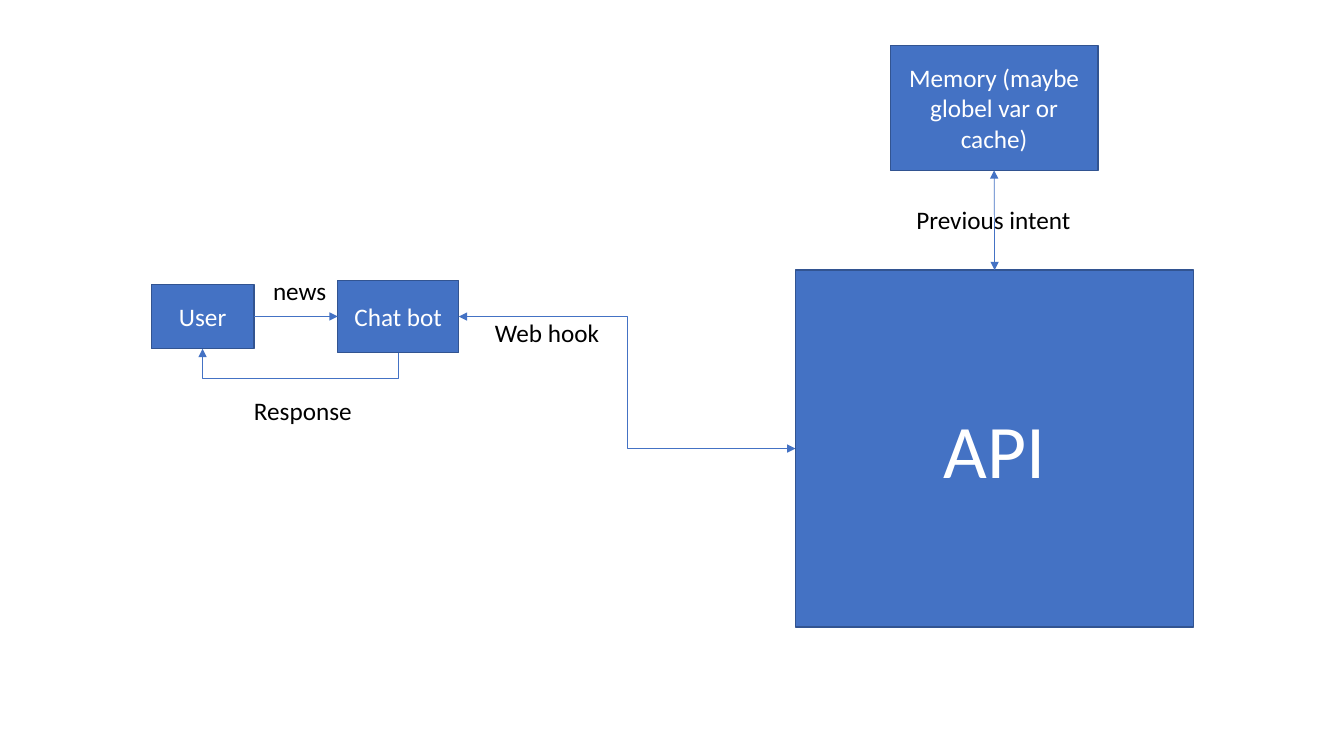
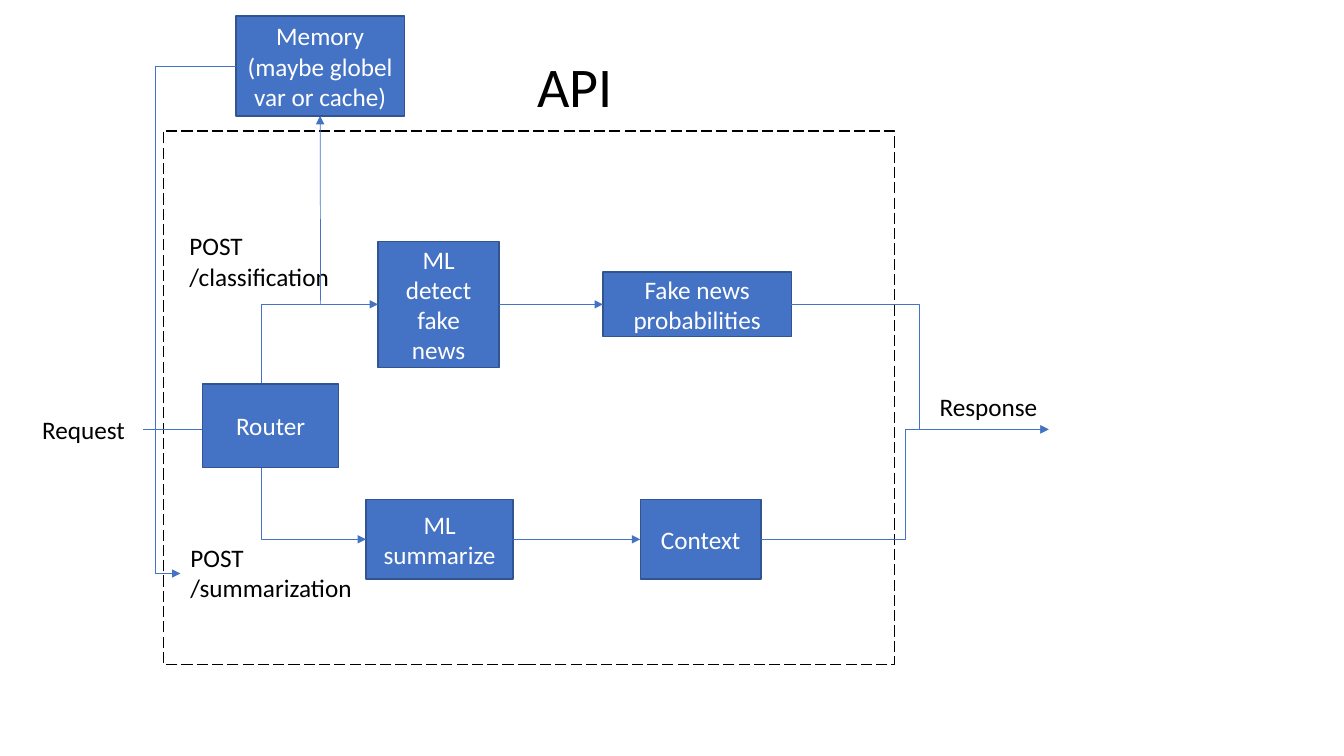
from dataclasses import dataclass

from lxml import etree
from pptx import Presentation
from pptx.dml.color import RGBColor
from pptx.enum.dml import MSO_LINE
from pptx.enum.shapes import MSO_CONNECTOR, MSO_SHAPE
from pptx.enum.text import MSO_ANCHOR, MSO_AUTO_SIZE, PP_ALIGN
from pptx.oxml.ns import qn
from pptx.util import Inches, Pt

RECTANGLE = MSO_SHAPE.RECTANGLE
STRAIGHT, ELBOW = MSO_CONNECTOR.STRAIGHT, MSO_CONNECTOR.ELBOW
LONG_DASH = MSO_LINE.LONG_DASH
CENTER, MIDDLE = PP_ALIGN.CENTER, MSO_ANCHOR.MIDDLE
GROW = MSO_AUTO_SIZE.SHAPE_TO_FIT_TEXT
TOP, LEFT, BOTTOM, RIGHT = range(4)


@dataclass(frozen=True)
class Theme:
    font: str = "Calibri"
    box: RGBColor = RGBColor(0x44, 0x72, 0xC4)
    border: RGBColor = RGBColor(0x32, 0x54, 0x91)
    light: RGBColor = RGBColor(0xFF, 0xFF, 0xFF)
    dark: RGBColor = RGBColor(0, 0, 0)
    body: int = 18
    title: int = 40
    hero: int = 54
    border_width: float = 1
    arrow_width: float = 0.5


THEME = Theme()
MEMORY_TEXT = "Memory (maybe globel var or cache)"


class Region:
    """Places diagram parts relative to its top left corner, in inches."""

    def __init__(self, slide, left, top):
        self.shapes = slide.shapes
        self.left, self.top = left, top

    def point(self, x, y):
        return Inches(self.left + x), Inches(self.top + y)

    def rectangle(self, x, y, width, height, fill, border):
        shape = self.shapes.add_shape(
            RECTANGLE, *self.point(x, y), Inches(width), Inches(height))
        shape.shadow.inherit = False
        shape.fill.solid()
        shape.fill.fore_color.rgb = fill
        shape.line.color.rgb = border
        shape.line.width = Pt(THEME.border_width)
        return shape

    def box(self, text, x, y, width, height, size=THEME.body):
        shape = self.rectangle(x, y, width, height, THEME.box, THEME.border)
        frame = shape.text_frame
        frame.word_wrap = True
        frame.vertical_anchor = MIDDLE
        write(frame.paragraphs[0], text, size, THEME.light)
        frame.paragraphs[0].alignment = CENTER
        return shape

    def label(self, lines, x, y, width, height=0.4, size=THEME.body, wrap=False):
        frame = self.shapes.add_textbox(
            *self.point(x, y), Inches(width), Inches(height)).text_frame
        frame.word_wrap = wrap
        frame.auto_size = GROW
        for index, line in enumerate(lines):
            paragraph = frame.add_paragraph() if index else frame.paragraphs[0]
            write(paragraph, line, size, THEME.dark)

    def link(self, source, source_side, target, target_side, both=False):
        """Straight arrow between the sides of two boxes."""
        arrow = self.shapes.add_connector(STRAIGHT, 0, 0, 0, 0)
        arrow.begin_connect(source, source_side)
        arrow.end_connect(target, target_side)
        style_arrow(arrow, both)

    def elbow(self, start, end, bend, vertical=False, both=False):
        """Three-part arrow; bend is the x (or y, if vertical) of its middle part."""
        axis = 1 if vertical else 0
        ratio = (bend - start[axis]) / (end[axis] - start[axis])
        if vertical:
            # A quarter turn about the centre makes the first part vertical
            center = [(a + b) / 2 for a, b in zip(start, end)]
            start, end = [(center[0] + y - center[1], center[1] - x + center[0])
                          for x, y in (start, end)]
        arrow = self.shapes.add_connector(
            ELBOW, *self.point(*start), *self.point(*end))
        properties = arrow._element.spPr
        if vertical:
            properties.find(qn("a:xfrm")).set("rot", str(90 * 60000))
        geometry = properties.find(qn("a:prstGeom"))
        adjustments = geometry.find(qn("a:avLst"))
        if adjustments is None:
            adjustments = etree.SubElement(geometry, qn("a:avLst"))
        etree.SubElement(adjustments, qn("a:gd"), name="adj1",
                         fmla=f"val {round(ratio * 100000)}")
        style_arrow(arrow, both)


def write(paragraph, text, size, color):
    run = paragraph.add_run()
    run.text = text
    run.font.name = THEME.font
    run.font.size = Pt(size)
    run.font.color.rgb = color


def style_arrow(arrow, both):
    arrow.line.color.rgb = THEME.box
    arrow.line.width = Pt(THEME.arrow_width)
    outline = arrow._element.spPr.find(qn("a:ln"))
    for tag in ("a:headEnd", "a:tailEnd") if both else ("a:tailEnd",):
        etree.SubElement(outline, qn(tag), type="triangle")
    etree.SubElement(arrow._element.spPr, qn("a:effectLst"))


def add_chat(slide, left, top):
    """User and bot, with the messages between them."""
    region = Region(slide, left, top)
    bot = region.box("Chat bot", 1.85, 0, 1.2, 0.72)
    user = region.box("User", 0, 0.04, 1.02, 0.64)
    region.link(user, RIGHT, bot, LEFT)
    region.label(["news"], 1.11, -0.1, 0.74)
    region.elbow((2.45, 0.72), (0.51, 0.68), 0.97, vertical=True)
    region.label(["Response"], 0.92, 1.09, 1.18)
    # Web hook towards the API
    region.label(["Web hook"], 3.31, 0.32, 1.25)
    region.elbow((3.05, 0.36), (6.39, 1.67), 4.72, both=True)


def add_service(slide, left, top):
    """API with its memory above."""
    region = Region(slide, left, top)
    api = region.box("API", 0, 2.23, 3.95, 3.54, THEME.hero)
    memory = region.box(MEMORY_TEXT, 0.94, 0, 2.06, 1.24)
    region.link(memory, BOTTOM, api, TOP, both=True)
    region.label(["Previous intent"], 1.1, 1.53, 1.75)


def add_lane(region, middle, steps, entry_x, exit_x):
    """Request, two steps and response, along one horizontal line."""
    trunk = 2.96
    first, second = [
        region.box(text, x, middle - height / 2, width, height)
        for text, x, width, height in steps]
    region.elbow((entry_x, trunk), (steps[0][1], middle), 0.97)
    region.link(first, RIGHT, second, LEFT)
    text, x, width, height = steps[1]
    region.elbow((x + width, middle), (8.78, trunk), exit_x)


def add_api_detail(slide, left, top):
    """Dashed API frame with its router, lanes and memory."""
    region = Region(slide, left, top)
    frame = region.rectangle(0, 0, 7.25, 5.29, THEME.light, THEME.dark)
    frame.line.dash_style = LONG_DASH
    region.label(["API"], 3.61, -0.84, 0.96, 0.77, THEME.title)

    # Lanes: text, left, width and height of each step
    upper = 1.72
    add_lane(region, upper, [("ML detect fake news", 2.13, 1.2, 1.25),
                             ("Fake news probabilities", 4.36, 1.87, 0.64)],
             -0.2, 7.5)
    add_lane(region, 4.05, [("ML summarize", 2.01, 1.46, 0.79),
                            ("Context", 4.73, 1.2, 0.79)],
             -0.07, 7.36)
    region.box("Router", 0.39, 2.51, 1.35, 0.83)

    # Request, response and routes
    region.label(["Request"], -1.3, 2.76, 1.03)
    region.label(["Response"], 7.6, 2.53, 1.18)
    region.label(["POST", "/classification"], 0.16, 0.94, 2.23, 0.71, wrap=True)
    region.label(["POST /summarization"], 0.17, 4.03, 2.23, 0.71, wrap=True)

    # Memory, written by the upper lane and read by the lower one
    memory = region.box(MEMORY_TEXT, 0.72, -1.14, 1.67, 0.99)
    store = region.shapes.add_connector(
        STRAIGHT, *region.point(1.56, upper), *region.point(1.56, -0.15))
    store.end_connect(memory, BOTTOM)
    style_arrow(store, both=False)
    region.elbow((0.72, -0.64), (0.17, 4.39), -0.08)


def main():
    presentation = Presentation()
    presentation.slide_width = Inches(13.33)
    presentation.slide_height = Inches(7.5)
    blank = presentation.slide_layouts[6]

    overview = presentation.slides.add_slide(blank)
    add_chat(overview, 1.5, 2.78)
    add_service(overview, 7.89, 0.45)

    detail = presentation.slides.add_slide(blank)
    add_api_detail(detail, 1.62, 1.3)

    presentation.save("out.pptx")


if __name__ == "__main__":
    main()
